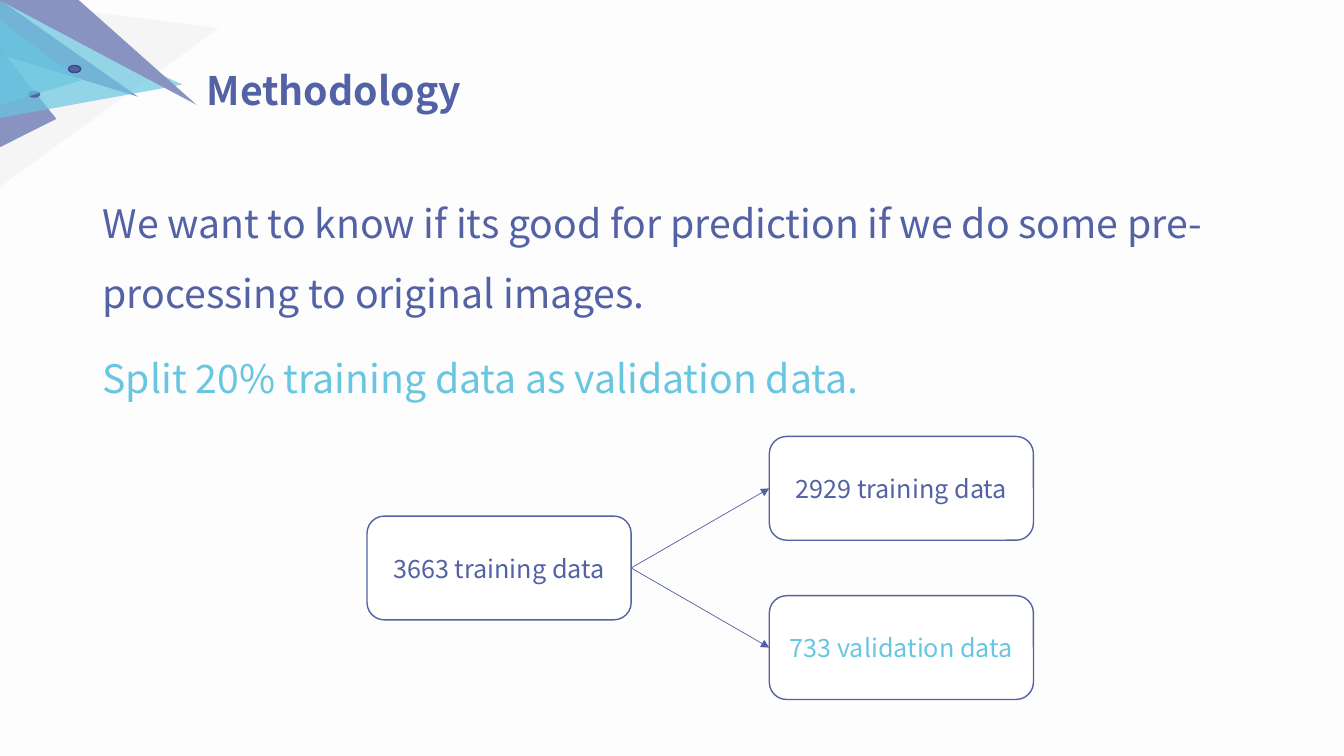
from lxml.etree import SubElement
from pptx import Presentation
from pptx.dml.color import RGBColor
from pptx.enum.shapes import MSO_CONNECTOR, MSO_SHAPE
from pptx.enum.text import MSO_ANCHOR, PP_ALIGN
from pptx.oxml.ns import qn
from pptx.util import Inches, Pt

# Colours and font
INDIGO = RGBColor(0x53, 0x62, 0xA5)
DARK_INDIGO = RGBColor(0x3D, 0x49, 0x7A)
LAVENDER = RGBColor(0x88, 0x93, 0xC1)
SKY = RGBColor(0x69, 0xC6, 0xE1)
PALE_GREY = RGBColor(0xF2, 0xF2, 0xF2)
WHITE = RGBColor(0xFF, 0xFF, 0xFF)
PAPER = RGBColor(0xFD, 0xFD, 0xFD)
FONT = "Noto Sans CJK SC"

# Content
TITLE = "Methodology"
STATEMENTS = [
    ("We want to know if its good for prediction if we do some "
     "pre-processing to original images.", INDIGO),
    ("Split 20% training data as validation data.", SKY),
]
SOURCE_DATA = ("3663 training data", INDIGO)
SPLITS = [("2929 training data", INDIGO), ("733 validation data", SKY)]

# Corner ornament: triangles as (points, colour, opacity %), dots as (left, top, line)
BACK_TRIANGLES = [
    ([(-0.01, 1.86), (-0.01, 0), (2.17, 0.28)], PALE_GREY, 69),
    ([(0, 1.46), (0, 0.48), (0.56, 1.18)], LAVENDER, 100),
    ([(0, 0.54), (0, 0), (1.37, 0.96)], INDIGO, 69),
    ([(0, 1.17), (0, 0), (1.81, 0.84)], SKY, 69),
    ([(0.78, 0), (-0.01, 0), (1.95, 1.04)], LAVENDER, 100),
]
DOTS = [(0.68, 0.65, DARK_INDIGO), (0.28, 0.9, None)]
FRONT_TRIANGLE = ([(0, 1.04), (0, 0.2), (0.8, 0.8)], SKY, 69)

# Diagram geometry in inches
BOX_W, BOX_H = 2.62, 1.03
SOURCE_LEFT, SPLIT_LEFT = 3.64, 7.63
SPLIT_TOP, SPLIT_STEP = 4.33, 1.58

prs = Presentation()
prs.slide_width, prs.slide_height = Inches(13.33), Inches(7.5)
slide = prs.slides.add_slide(prs.slide_layouts[5])
slide.background.fill.solid()
slide.background.fill.fore_color.rgb = PAPER
shapes = slide.shapes


def paint(shape, fill, line=None, opacity=100):
    shape.shadow.inherit = False
    shape.fill.solid()
    shape.fill.fore_color.rgb = fill
    if opacity < 100:
        colour = shape.fill._xPr.find(qn("a:solidFill"))[0]
        SubElement(colour, qn("a:alpha"), val=str(opacity * 1000))
    if line is None:
        shape.line.fill.background()
    else:
        shape.line.color.rgb = line
        shape.line.width = Pt(1)


def style(paragraph, size, colour, bold=False):
    formats = {"name": FONT, "size": Pt(size), "bold": bold}
    for key, value in formats.items():
        setattr(paragraph.font, key, value)
    paragraph.font.color.rgb = colour


def add_triangle(points, colour, opacity):
    corners = [(Inches(x), Inches(y)) for x, y in points]
    builder = shapes.build_freeform(*corners[0])
    builder.add_line_segments(corners[1:], close=True)
    paint(builder.convert_to_shape(), colour, opacity=opacity)


def add_data_box(left, top, label, colour):
    box = shapes.add_shape(MSO_SHAPE.ROUNDED_RECTANGLE, Inches(left), Inches(top),
                           Inches(BOX_W), Inches(BOX_H))
    paint(box, WHITE, INDIGO)
    box.text_frame.vertical_anchor = MSO_ANCHOR.MIDDLE
    paragraph = box.text_frame.paragraphs[0]
    paragraph.text = label
    paragraph.alignment = PP_ALIGN.CENTER
    style(paragraph, 18, colour)
    return box


def add_arrow(start, end):
    arrow = shapes.add_connector(MSO_CONNECTOR.STRAIGHT, 0, 0, 0, 0)
    arrow.begin_connect(start, 3)
    arrow.end_connect(end, 1)
    arrow.line.color.rgb = INDIGO
    arrow.line.width = Pt(0.5)
    SubElement(arrow.line._get_or_add_ln(), qn("a:tailEnd"), type="triangle")
    SubElement(arrow._element.spPr, qn("a:effectLst"))


# Corner ornament
for triangle in BACK_TRIANGLES:
    add_triangle(*triangle)
for left, top, outline in DOTS:
    dot = shapes.add_shape(MSO_SHAPE.OVAL, Inches(left), Inches(top),
                           Inches(0.12), Inches(0.07))
    paint(dot, INDIGO, outline)
add_triangle(*FRONT_TRIANGLE)

# Title
title = shapes.title
title.left, title.top = Inches(1.95), Inches(0.61)
title.width, title.height = Inches(3.37), Inches(0.57)
title.text_frame.text = TITLE
title.text_frame.vertical_anchor = MSO_ANCHOR.MIDDLE
title.text_frame.paragraphs[0].alignment = PP_ALIGN.LEFT
style(title.text_frame.paragraphs[0], 28, INDIGO, bold=True)

# Statements
body = shapes.add_textbox(Inches(0.92), Inches(1.69), Inches(11.5), Inches(4.76)).text_frame
body.word_wrap = True
for index, (statement, colour) in enumerate(STATEMENTS):
    paragraph = body.paragraphs[0] if index == 0 else body.add_paragraph()
    paragraph.text = statement
    paragraph.line_spacing = 1.5
    if index:
        paragraph.space_before = Pt(10)
    style(paragraph, 28, colour)

# Data split diagram: the source sits midway between its splits
source = add_data_box(SOURCE_LEFT, SPLIT_TOP + SPLIT_STEP / 2, *SOURCE_DATA)
for row, split in enumerate(SPLITS):
    add_arrow(source, add_data_box(SPLIT_LEFT, SPLIT_TOP + row * SPLIT_STEP, *split))

prs.save("out.pptx")
